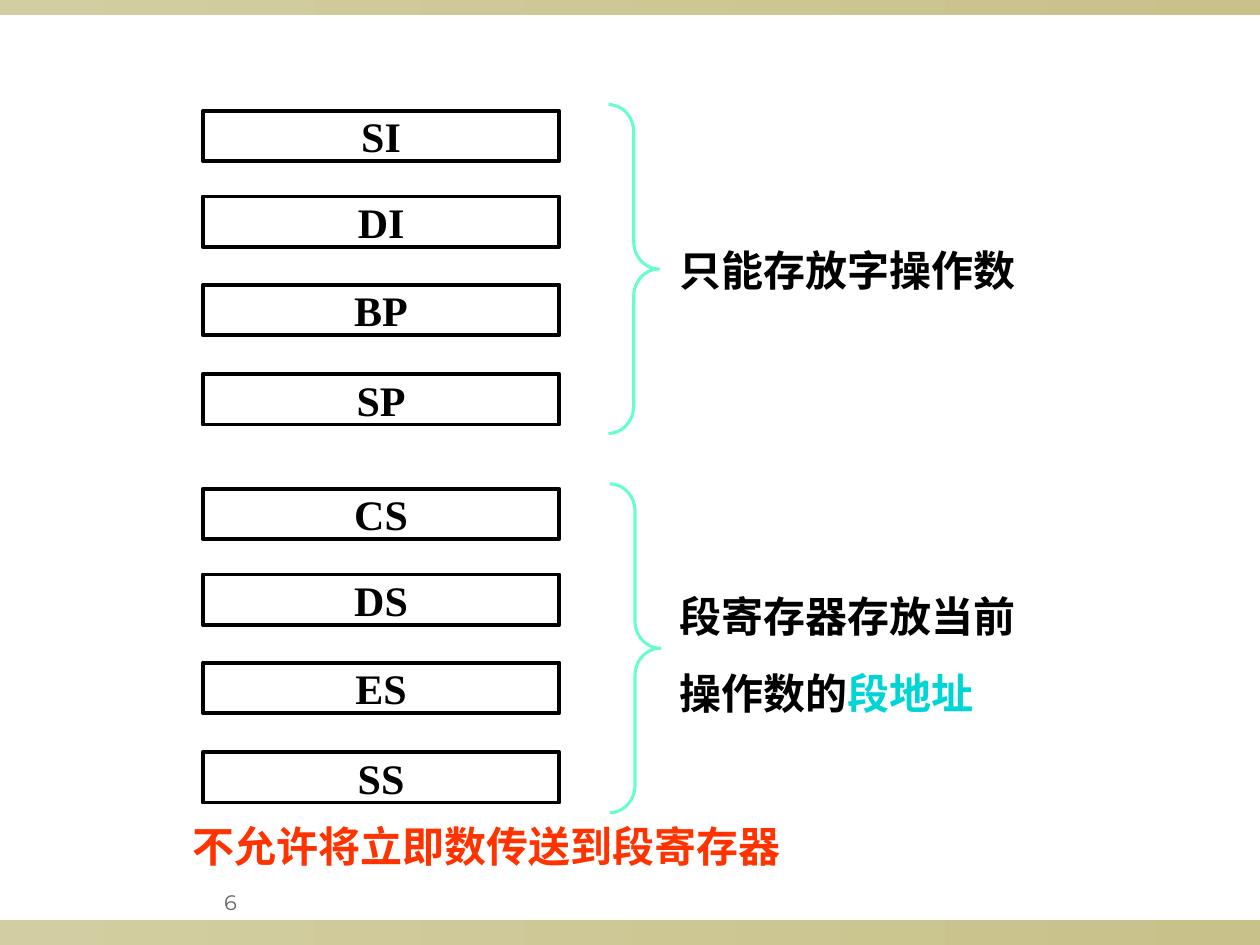
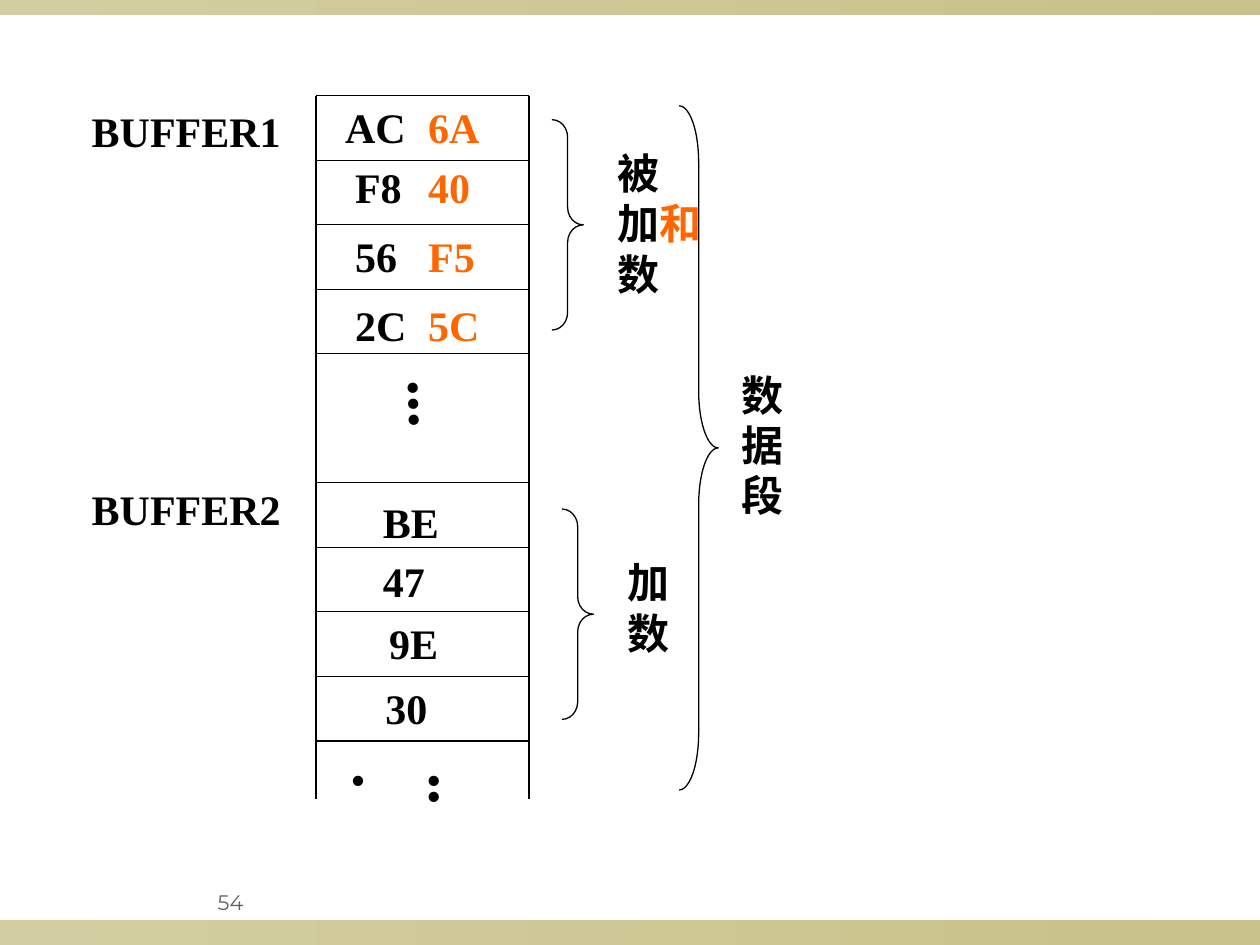
from lxml.etree import SubElement
from pptx import Presentation
from pptx.dml.color import RGBColor
from pptx.enum.shapes import MSO_CONNECTOR, MSO_SHAPE
from pptx.enum.text import MSO_ANCHOR, MSO_AUTO_SIZE, PP_ALIGN
from pptx.oxml.ns import qn
from pptx.util import Inches, Pt

WIDTH, HEIGHT = 10, 7.5
COLORS = {
    "ink": "000000", "mint": "66FFCC", "cyan": "00D5D5", "red": "FF3300",
    "orange": "FF6600", "number": "636363", "band_left": "D3CEA1", "band_right": "C8C18A",
}
BODY_FONT, NUMBER_FONT = "Times New Roman", "Montserrat"
BANDS = [(0, 7.3, WIDTH, 0.2), (0, 0, WIDTH, 0.12)]
NUMBER_BOX = (0.08, 7, 3.5, 0.31)
NO_INSETS, TEXT_INSETS = (0, 0), (0.1, 0.05)

# Text is a list of paragraphs, each a list of (words, colour) runs.
REGISTER_GROUPS = [
    {"top": 0.88, "registers": ["SI", "DI", "BP", "SP"],
     "brace": (4.83, 0.83, 0.4, 2.61),
     "note": [[("只能存放字操作数", "ink")]], "note_box": (5.39, 1.94, 3.54, 0.4)},
    {"top": 3.88, "registers": ["CS", "DS", "ES", "SS"],
     "brace": (4.84, 3.84, 0.4, 2.61),
     "note": [[("段寄存器存放当前", "ink")], [("操作数的", "ink"), ("段地址", "cyan")]],
     "note_box": (5.39, 4.69, 3.21, 1.01)},
]
REGISTER_OFFSETS = (0, 0.68, 1.38, 2.09)
REGISTER_LEFT, REGISTER_WIDTH, REGISTER_HEIGHT = 1.61, 2.83, 0.4
WARNING = [[("不允许将立即数传送到段寄存器", "red")]]
WARNING_BOX = (1.53, 6.51, 6.38, 0.4)

MEMORY_LEFT, MEMORY_RIGHT = 2.51, 4.2
MEMORY_TOP, LAST_RULE, MEMORY_BOTTOM = 0.76, 5.88, 6.34
MEMORY_ROWS, UNRULED_ROW = 10, 5
SUM_LEFT = 3.4
AUGEND_BYTES = [  # augend, sum, left, top
    ("AC", "6A", 2.64, 0.76), ("F8", "40", 2.72, 1.23),
    ("56", "F5", 2.72, 1.78), ("2C", "5C", 2.72, 2.33),
]
ADDEND_BYTES = [  # addend, left, top
    ("BE", 2.94, 3.89), ("47", 2.94, 4.36), ("9E", 2.99, 4.85), ("30", 2.96, 5.37),
]
BUFFERS = [("BUFFER1", 0.79), ("BUFFER2", 3.79)]
MEMORY_BRACES = [(4.38, 0.95, 0.25, 1.67), (4.46, 4.04, 0.25, 1.67), (5.39, 0.84, 0.31, 5.43)]
MEMORY_LABELS = [
    ([[("被", "ink")], [("加", "ink"), ("和", "orange")], [("数", "ink")]], (4.8, 1.12, 1.07, 1.3)),
    ([[("加数", "ink")]], (4.88, 4.37, 0.58, 0.9)),
    ([[("数据段", "ink")]], (5.79, 2.88, 0.58, 1.3)),
]


def rgb(name):
    return RGBColor.from_string(COLORS[name])


def inches(values):
    return [Inches(value) for value in values]


def write(shape, paragraphs, insets=NO_INSETS, align=PP_ALIGN.LEFT, size=24,
          font=BODY_FONT, bold=True, gap=0, tab=None):
    frame = shape.text_frame
    frame.word_wrap = True
    frame.auto_size = MSO_AUTO_SIZE.SHAPE_TO_FIT_TEXT
    frame.margin_left = frame.margin_right = Inches(insets[0])
    frame.margin_top = frame.margin_bottom = Inches(insets[1])
    for index, runs in enumerate(paragraphs):
        paragraph = frame.add_paragraph() if index else frame.paragraphs[0]
        paragraph.alignment = align
        if index and gap:
            paragraph.space_before = Pt(gap)
        if tab:
            stops = SubElement(paragraph._p.get_or_add_pPr(), qn("a:tabLst"))
            SubElement(stops, qn("a:tab"), pos=str(Inches(tab)), algn="l")
        for words, color in runs:
            run = paragraph.add_run()
            run.text = words
            run.font.name, run.font.size, run.font.bold = font, Pt(size), bold
            run.font.color.rgb = rgb(color)
    return frame


def add_text(slide, paragraphs, box, **style):
    label = slide.shapes.add_textbox(*inches(box))
    write(label, paragraphs, **style)
    return label


def add_outline(slide, kind, box, color, weight):
    shape = slide.shapes.add_shape(kind, *inches(box))
    shape.shadow.inherit = False
    shape.fill.background()
    shape.line.color.rgb = rgb(color)
    shape.line.width = Pt(weight)
    return shape


def add_brace(slide, box, color, weight):
    """Right brace whose curls each take a twelfth of its height."""
    brace = add_outline(slide, MSO_SHAPE.RIGHT_BRACE, box, color, weight)
    brace.adjustments[0] = box[3] / box[2] / 12


def add_rule(slide, x1, y1, x2, y2, weight):
    rule = slide.shapes.add_connector(MSO_CONNECTOR.STRAIGHT, *inches((x1, y1, x2, y2)))
    rule.line.color.rgb = rgb("ink")
    rule.line.width = Pt(weight)
    SubElement(rule._element.spPr, qn("a:effectLst"))


def add_bands_to_master(prs, slide):
    for box in BANDS:
        band = slide.shapes.add_shape(MSO_SHAPE.RECTANGLE, *inches(box))
        band.shadow.inherit = False
        band.line.fill.background()
        band.fill.gradient()
        band.fill.gradient_angle = 0
        for stop, color in zip(band.fill.gradient_stops, ("band_left", "band_right")):
            stop.color.rgb = rgb(color)
        prs.slide_master.shapes._spTree.append(band._element)


def add_numbered_slide(prs, number):
    slide = prs.slides.add_slide(prs.slide_layouts[6])
    label = add_text(slide, [[(number, "number")]], NUMBER_BOX, insets=(0.05, 0.05),
                     align=PP_ALIGN.CENTER, size=12, font=NUMBER_FONT, bold=False)
    label.text_frame.auto_size = MSO_AUTO_SIZE.NONE
    label.text_frame.vertical_anchor = MSO_ANCHOR.BOTTOM
    return slide


def draw_registers(slide):
    for group in REGISTER_GROUPS:
        for name, offset in zip(group["registers"], REGISTER_OFFSETS):
            box = (REGISTER_LEFT, group["top"] + offset, REGISTER_WIDTH, REGISTER_HEIGHT)
            register = add_outline(slide, MSO_SHAPE.RECTANGLE, box, "ink", 2.25)
            frame = write(register, [[(name, "ink")]], align=PP_ALIGN.CENTER)
            frame.vertical_anchor = MSO_ANCHOR.MIDDLE
        add_brace(slide, group["brace"], "mint", 1.75)
        add_text(slide, group["note"], group["note_box"], gap=15)
    add_text(slide, WARNING, WARNING_BOX)


def draw_memory(slide):
    row_height = (LAST_RULE - MEMORY_TOP) / MEMORY_ROWS
    for row in range(MEMORY_ROWS + 1):
        if row != UNRULED_ROW:
            y = MEMORY_TOP + row * row_height
            add_rule(slide, MEMORY_LEFT, y, MEMORY_RIGHT, y, 0.75)
    for x in (MEMORY_LEFT, MEMORY_RIGHT):
        add_rule(slide, x, MEMORY_TOP, x, MEMORY_BOTTOM, 1)

    for augend, total, left, top in AUGEND_BYTES:
        add_text(slide, [[(augend + "\t", "ink"), (total, "orange")]], (left, top, 1.4, 0.5),
                 insets=TEXT_INSETS, tab=SUM_LEFT - left - TEXT_INSETS[0])
    for addend, left, top in ADDEND_BYTES:
        add_text(slide, [[(addend, "ink")]], (left, top, 1.08, 0.5), insets=TEXT_INSETS)
    for name, top in BUFFERS:
        add_text(slide, [[(name, "ink")]], (0.63, top, 1.83, 0.5), insets=TEXT_INSETS)

    for box in MEMORY_BRACES:
        add_brace(slide, box, "ink", 0.75)
    for label, box in MEMORY_LABELS:
        add_text(slide, label, box, insets=TEXT_INSETS)

    middle_dots = add_text(slide, [[(" ...", "ink")]], (3.06, 2.83, 0.77, 0.7),
                           insets=TEXT_INSETS, size=36)
    middle_dots.rotation = 88.5
    end_dots = add_text(slide, [[("...", "ink")]], (3.16, 6.04, 0.8, 0.55),
                        insets=(0.05, 0.1), size=36)
    end_dots.text_frame._txBody.bodyPr.set("vert", "eaVert")


def main():
    prs = Presentation()
    prs.slide_width, prs.slide_height = inches((WIDTH, HEIGHT))
    registers = add_numbered_slide(prs, "6")
    add_bands_to_master(prs, registers)
    draw_registers(registers)
    draw_memory(add_numbered_slide(prs, "54"))
    prs.save("out.pptx")


if __name__ == "__main__":
    main()
